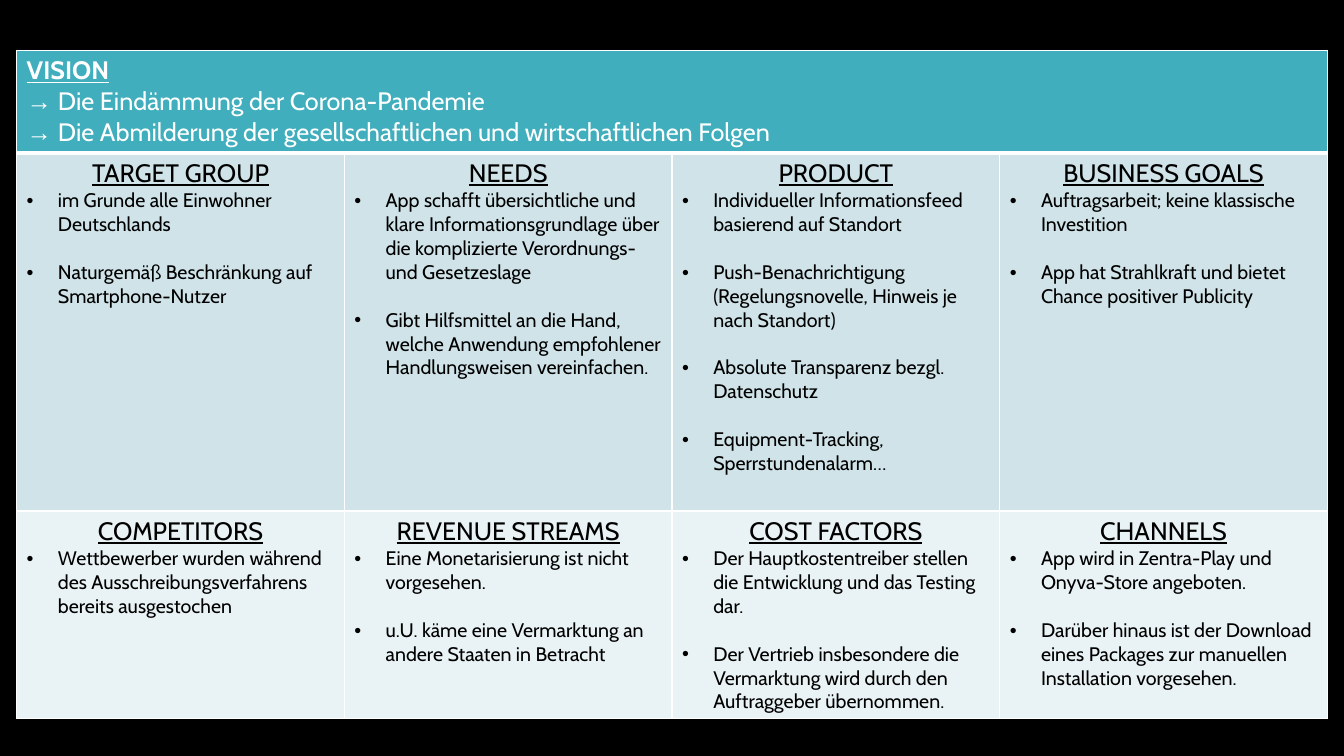
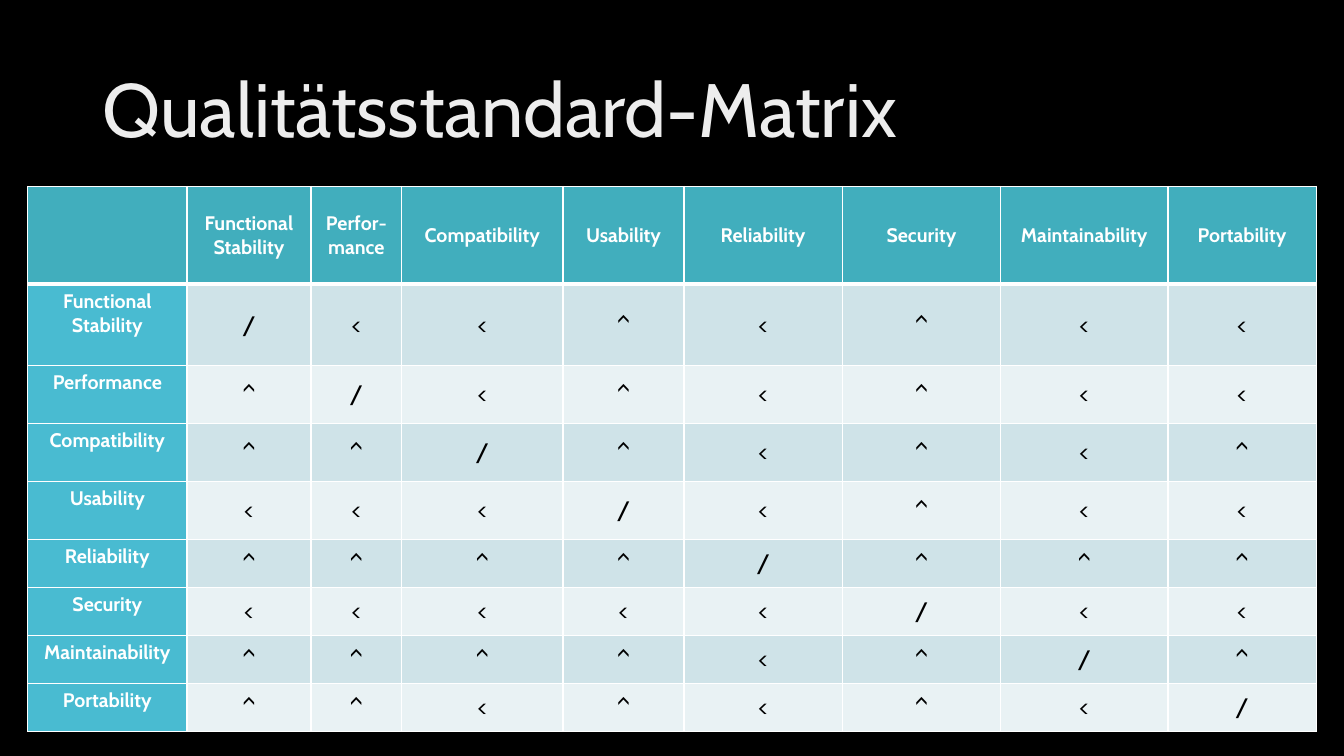
from pptx import Presentation
from pptx.dml.color import RGBColor
from pptx.enum.text import MSO_ANCHOR as Anchor, PP_ALIGN as Align
from pptx.oxml.xmlchemy import OxmlElement
from pptx.util import Inches, Pt

BLACK = RGBColor(0x00, 0x00, 0x00)
WHITE = RGBColor(0xFF, 0xFF, 0xFF)
TITLE_GREY = RGBColor(0xED, 0xED, 0xED)
TEAL = RGBColor(0x41, 0xAE, 0xBD)
SIDE_BLUE = RGBColor(0x49, 0xBB, 0xD1)
BANDS = (RGBColor(0xCF, 0xE3, 0xE8), RGBColor(0xE9, 0xF2, 0xF4))

FONT = "Cabin"
SLIDE_WIDTH, SLIDE_HEIGHT = 13.33, 7.5
BULLET_INDENT = 0.31
BULLET_GAP = 17

HEADING = {"size": Pt(18), "bold": False, "underline": True, "color": BLACK}
BODY = {"size": Pt(14), "bold": False, "color": BLACK}
VISION_HEADING = {"size": Pt(18), "bold": True, "underline": True, "color": WHITE}
VISION_BODY = {"size": Pt(18), "bold": False, "color": WHITE}
LABEL = {"size": Pt(14), "bold": True, "color": WHITE}
MARK = {"size": Pt(18), "bold": False, "color": BLACK}
TITLE = {"size": Pt(54), "color": TITLE_GREY}
HEADER_CELL = {
    "vertical_anchor": Anchor.MIDDLE,
    "margin_left": Inches(0.14), "margin_right": Inches(0.14),
    "margin_top": Inches(0.06), "margin_bottom": Inches(0.06),
}

VISION = ("VISION", [
    "Die Eindämmung der Corona-Pandemie",
    "Die Abmilderung der gesellschaftlichen und wirtschaftlichen Folgen",
])
BOARD = [
    [
        ("TARGET GROUP", [
            "im Grunde alle Einwohner Deutschlands",
            "Naturgemäß Beschränkung auf Smartphone-Nutzer",
        ]),
        ("NEEDS", [
            "App schafft übersichtliche und klare Informationsgrundlage über "
            "die komplizierte Verordnungs- und Gesetzeslage",
            "Gibt Hilfsmittel an die Hand, welche Anwendung empfohlener "
            "Handlungsweisen vereinfachen.",
        ]),
        ("PRODUCT", [
            "Individueller Informationsfeed basierend auf Standort",
            "Push-Benachrichtigung (Regelungsnovelle, Hinweis je nach Standort)",
            "Absolute Transparenz bezgl. Datenschutz",
            "Equipment-Tracking, Sperrstundenalarm…",
        ]),
        ("BUSINESS GOALS", [
            "Auftragsarbeit; keine klassische Investition",
            "App hat Strahlkraft und bietet Chance positiver Publicity",
        ]),
    ],
    [
        ("COMPETITORS", [
            "Wettbewerber wurden während des Ausschreibungsverfahrens "
            "bereits ausgestochen",
        ]),
        ("REVENUE STREAMS", [
            "Eine Monetarisierung ist nicht vorgesehen.",
            "u.U. käme eine Vermarktung an andere Staaten in Betracht",
        ]),
        ("COST FACTORS", [
            "Der Hauptkostentreiber stellen die Entwicklung und das Testing dar.",
            "Der Vertrieb insbesondere die Vermarktung wird durch den "
            "Auftraggeber übernommen.",
        ]),
        ("CHANNELS", [
            "App wird in Zentra-Play und Onyva-Store angeboten.",
            "Darüber hinaus ist der Download eines Packages zur manuellen "
            "Installation vorgesehen.",
        ]),
    ],
]
BOARD_COLUMNS = [3.25] * 4
BOARD_ROWS = [1.02, 3.55, 2.05]

MATRIX_TITLE = "Qualitätsstandard-Matrix"
MATRIX_HEADER = ["", "Functional Stability", "Perfor-mance", "Compatibility",
                 "Usability", "Reliability", "Security", "Maintainability",
                 "Portability"]
MATRIX = [
    ("Functional Stability", "/<<^<^<<"),
    ("Performance", "^/<^<^<<"),
    ("Compatibility", "^^/^<^<^"),
    ("Usability", "<<</<^<<"),
    ("Reliability", "^^^^/^^^"),
    ("Security", "<<<<</<<"),
    ("Maintainability", "^^^^<^/^"),
    ("Portability", "^^<^<^</"),
]
MATRIX_COLUMNS = [1.58, 1.23, 0.9, 1.6, 1.2, 1.57, 1.57, 1.66, 1.47]
MATRIX_ROWS = [0.97, 0.81] + [0.575] * 3 + [0.475] * 4


def set_all(target, values):
    for name, value in values.items():
        setattr(target, name, value)


def add_child(parent, tag, **attributes):
    child = OxmlElement(tag)
    for name, value in attributes.items():
        child.set(name, str(value))
    parent.append(child)
    return child


def write(paragraph, text, style, **layout):
    set_all(paragraph, layout)
    run = paragraph.add_run()
    run.text = text
    run.font.name = FONT
    run.font.color.rgb = style["color"]
    set_all(run.font, {k: v for k, v in style.items() if k != "color"})


def add_bullet(paragraph, symbol):
    properties = paragraph._p.get_or_add_pPr()
    properties.set("marL", str(Inches(BULLET_INDENT)))
    properties.set("indent", str(-Inches(BULLET_INDENT)))
    add_child(properties, "a:buFont", typeface="Arial")
    add_child(properties, "a:buChar", char=symbol)


def write_block(cell, block, heading_style, body_style, symbol, gap, align):
    heading, items = block
    frame = cell.text_frame
    write(frame.paragraphs[0], heading, heading_style, alignment=align)
    for index, item in enumerate(items):
        paragraph = frame.add_paragraph()
        write(paragraph, item, body_style, space_before=Pt(gap if index else 0))
        add_bullet(paragraph, symbol)


def add_borders(cell, row):
    widths = {"L": 1, "R": 1, "T": 3 if row == 1 else 1, "B": 3 if row == 0 else 1}
    properties = cell._tc.get_or_add_tcPr()
    for side, width in widths.items():
        line = add_child(properties, f"a:ln{side}", w=Pt(width))
        fill = add_child(line, "a:solidFill")
        add_child(fill, "a:srgbClr", val=WHITE)


def add_grid(slide, left, top, columns, rows):
    shape = slide.shapes.add_table(
        len(rows), len(columns), Inches(left), Inches(top),
        Inches(sum(columns)), Inches(sum(rows)))
    table = shape.table
    set_all(table, {"first_row": False, "horz_banding": False})
    for column, width in zip(table.columns, columns):
        column.width = Inches(width)
    for index, (row, height) in enumerate(zip(table.rows, rows)):
        row.height = Inches(height)
        for cell in row.cells:
            add_borders(cell, index)
            cell.fill.solid()
            cell.fill.fore_color.rgb = BANDS[(index - 1) % 2] if index else TEAL
    return table


def build_board(slide):
    left = (SLIDE_WIDTH - sum(BOARD_COLUMNS)) / 2
    table = add_grid(slide, left, 0.5, BOARD_COLUMNS, BOARD_ROWS)
    vision = table.cell(0, 0)
    vision.merge(table.cell(0, len(BOARD_COLUMNS) - 1))
    write_block(vision, VISION, VISION_HEADING, VISION_BODY, "→", 0, Align.LEFT)
    for row, blocks in enumerate(BOARD, 1):
        for column, block in enumerate(blocks):
            write_block(table.cell(row, column), block, HEADING, BODY, "•",
                        BULLET_GAP, Align.CENTER)


def build_matrix(slide):
    title = slide.shapes.add_textbox(
        Inches(0.92), Inches(0.4), Inches(11.5), Inches(1.45))
    set_all(title.text_frame, {"word_wrap": True, "vertical_anchor": Anchor.MIDDLE})
    write(title.text_frame.paragraphs[0], MATRIX_TITLE, TITLE, line_spacing=0.9)

    left = (SLIDE_WIDTH - sum(MATRIX_COLUMNS)) / 2
    table = add_grid(slide, left, 1.85, MATRIX_COLUMNS, MATRIX_ROWS)
    for column, text in enumerate(MATRIX_HEADER):
        cell = table.cell(0, column)
        set_all(cell, HEADER_CELL)
        if text:
            write(cell.text_frame.paragraphs[0], text, LABEL, alignment=Align.CENTER)
    for row, (label, marks) in enumerate(MATRIX, 1):
        for column, text in enumerate([label, *marks]):
            cell = table.cell(row, column)
            if column:
                cell.vertical_anchor = Anchor.MIDDLE
            else:
                cell.fill.fore_color.rgb = SIDE_BLUE
            write(cell.text_frame.paragraphs[0], text, MARK if column else LABEL,
                  alignment=Align.CENTER)


def main():
    presentation = Presentation()
    presentation.slide_width = Inches(SLIDE_WIDTH)
    presentation.slide_height = Inches(SLIDE_HEIGHT)
    background = presentation.slide_master.background.fill
    background.solid()
    background.fore_color.rgb = BLACK
    for build in (build_board, build_matrix):
        build(presentation.slides.add_slide(presentation.slide_layouts[6]))
    presentation.save("out.pptx")


if __name__ == "__main__":
    main()
